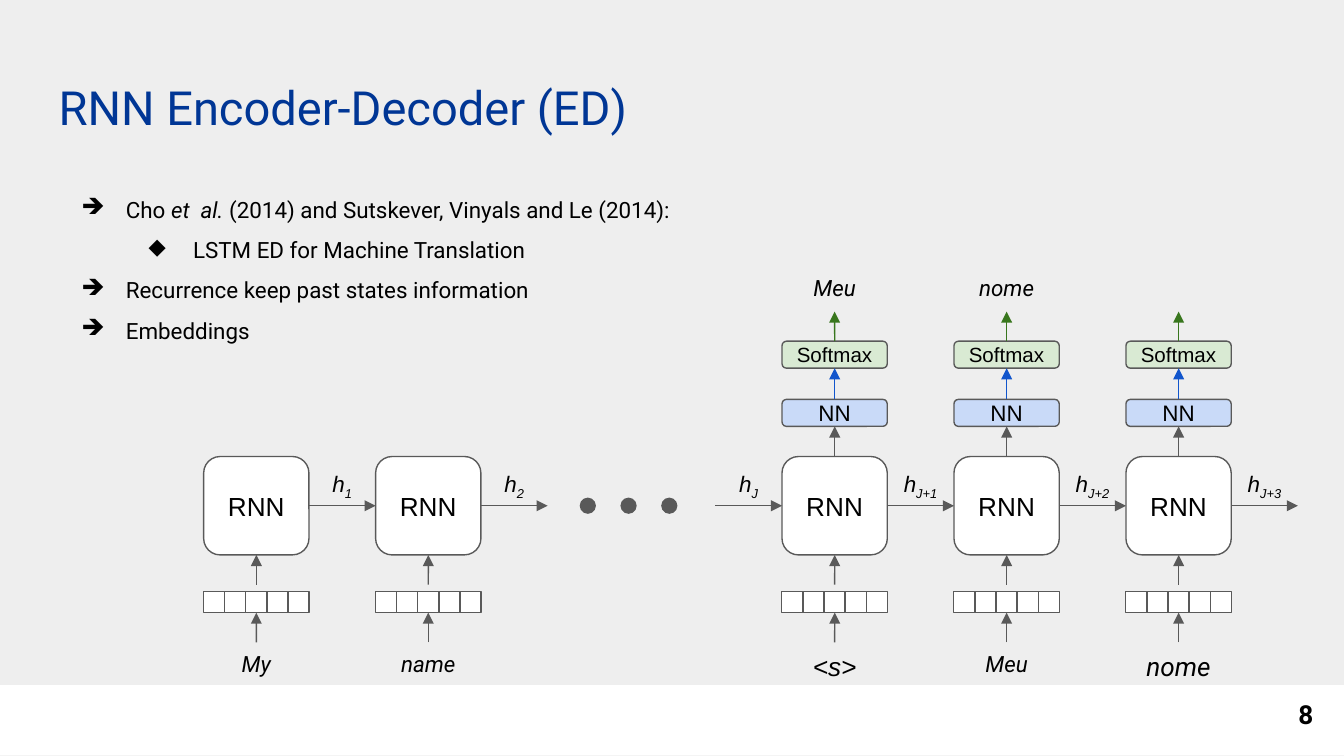
from lxml import etree
from pptx import Presentation
from pptx.dml.color import RGBColor
from pptx.enum.shapes import MSO_CONNECTOR, MSO_SHAPE
from pptx.enum.text import MSO_ANCHOR, PP_ALIGN
from pptx.oxml.ns import qn
from pptx.util import Cm, Pt

RECTANGLE, ROUNDED, OVAL = MSO_SHAPE.RECTANGLE, MSO_SHAPE.ROUNDED_RECTANGLE, MSO_SHAPE.OVAL
LEFT, CENTER, RIGHT = PP_ALIGN.LEFT, PP_ALIGN.CENTER, PP_ALIGN.RIGHT
TOP, MIDDLE = MSO_ANCHOR.TOP, MSO_ANCHOR.MIDDLE
STRAIGHT = MSO_CONNECTOR.STRAIGHT
TOP_SIDE, LEFT_SIDE, BOTTOM_SIDE, RIGHT_SIDE = range(4)

BACKGROUND, WHITE, BLACK, GRAY = "EEEEEE", "FFFFFF", "000000", "595959"
TITLE_BLUE, ARROW_BLUE, ARROW_GREEN = "003695", "1155CC", "38761D"
NN_FILL, SOFTMAX_FILL = "C9DAF8", "D9EAD3"

# Content
TITLE = "RNN Encoder-Decoder (ED)"
PAGE_NUMBER = "8"
BULLETS = [  # level, runs
    (0, [("Cho ", {}), ("et  al.", {"italic": True}),
         (" (2014) and Sutskever, Vinyals and Le (2014):", {})]),
    (1, [("LSTM ED for Machine Translation", {})]),
    (0, [("Recurrence keep past states information", {})]),
    (0, [("Embeddings", {})]),
]
BULLET_SIGNS = ["➔", "◆"]
ENCODER = [  # input word, its format, index of the outgoing state
    ("My", {}, "1"),
    ("name", {}, "2"),
]
DECODER = [  # input word, its format, index of the outgoing state, output word
    ("<s>", {"size": 14, "font": "Arial"}, "J+1", "Meu"),
    ("Meu", {}, "J+2", "nome"),
    ("nome", {"size": 14}, "J+3", None),
]
FIRST_DECODER_STATE = "J"

# Layout in centimetres
ENCODER_LEFT, DECODER_LEFT = 3.85, 14.78
STEP = 3.25
BOX_WIDTH, RNN_HEIGHT, LAYER_HEIGHT = 1.99, 1.86, 0.51
STATE_GAP = STEP - BOX_WIDTH
SOFTMAX_TOP, NN_TOP, RNN_TOP = 6.45, 7.55, 8.63
RNN_BOTTOM = RNN_TOP + RNN_HEIGHT
STATE_Y = RNN_TOP + RNN_HEIGHT / 2
CELLS, CELL, CELLS_TOP = 5, 0.4, 11.18
ARROW = 0.56
WORD_WIDTH, INPUT_TOP, OUTPUT_TOP = 2.13, 12.04, 4.93
DOTS, DOT, DOT_LEFT, DOT_STEP = 3, 0.28, 10.97, 0.77


def color(hex_string):
    return RGBColor.from_string(hex_string)


def add_runs(paragraph, runs, size=12, font="Roboto", fill=BLACK, bold=False, italic=False):
    for text, extra in runs:
        run = paragraph.add_run()
        run.text = text
        run.font.size = Pt(size)
        run.font.name = font
        run.font.bold = bold
        run.font.italic = extra.get("italic", italic)
        run.font.color.rgb = color(fill)
        if extra.get("subscript"):
            run.font._element.set("baseline", "-25000")


def write(shape, text, align=CENTER, anchor=MIDDLE, **run_format):
    """Fill a shape with one paragraph; text is a string or a list of (text, extras)."""
    frame = prepare_frame(shape, anchor)
    frame.paragraphs[0].alignment = align
    runs = [(text, {})] if isinstance(text, str) else text
    add_runs(frame.paragraphs[0], runs, **run_format)


def prepare_frame(shape, anchor):
    frame = shape.text_frame
    frame.word_wrap = True
    frame.vertical_anchor = anchor
    frame.margin_left = frame.margin_right = Cm(0.25)
    frame.margin_top = frame.margin_bottom = Cm(0.25)
    return frame


def add_box(shapes, kind, left, top, width, height, fill, line=GRAY):
    shape = shapes.add_shape(kind, Cm(left), Cm(top), Cm(width), Cm(height))
    shape.shadow.inherit = False
    shape.fill.solid()
    shape.fill.fore_color.rgb = color(fill)
    if line:
        shape.line.color.rgb = color(line)
        shape.line.width = Pt(0.75)
    else:
        shape.line.fill.background()
    return shape


def add_label(shapes, text, left, top, width, height=1.02, anchor=TOP, **text_format):
    label = shapes.add_textbox(Cm(left), Cm(top), Cm(width), Cm(height))
    write(label, text, anchor=anchor, **text_format)


def add_arrow(shapes, start, end, begin=None, finish=None, line=GRAY):
    """Draw an arrow; begin and finish are optional (shape, side) pairs to join."""
    arrow = shapes.add_connector(STRAIGHT, *(Cm(value) for value in start + end))
    if begin:
        arrow.begin_connect(*begin)
    if finish:
        arrow.end_connect(*finish)
    arrow.line.color.rgb = color(line)
    arrow.line.width = Pt(0.75)
    properties = arrow._element.spPr
    etree.SubElement(properties.find(qn("a:ln")), qn("a:tailEnd"), type="triangle")
    etree.SubElement(properties, qn("a:effectLst"))


def add_state(shapes, index, left):
    runs = [("h", {}), (index, {"subscript": True})]
    add_label(shapes, runs, left, 8.64, STATE_GAP, font="Arial", italic=True)


def add_step(shapes, left, word, word_format):
    """Add an RNN box with its embedding and input word; return the box."""
    center = left + BOX_WIDTH / 2
    rnn = add_box(shapes, ROUNDED, left, RNN_TOP, BOX_WIDTH, RNN_HEIGHT, WHITE)
    write(rnn, "RNN", size=14, font="Arial")
    embedding = shapes.add_group_shape()
    cells = [add_box(embedding.shapes, RECTANGLE, center + (i - CELLS / 2) * CELL,
                     CELLS_TOP, CELL, CELL, WHITE) for i in range(CELLS)]
    cells_bottom = CELLS_TOP + CELL
    add_arrow(shapes, (center, RNN_BOTTOM + ARROW), (center, RNN_BOTTOM),
              finish=(rnn, BOTTOM_SIDE))
    add_arrow(shapes, (center, cells_bottom + ARROW), (center, cells_bottom),
              finish=(cells[CELLS // 2], BOTTOM_SIDE))
    add_label(shapes, word, center - WORD_WIDTH / 2, INPUT_TOP, WORD_WIDTH,
              italic=True, **word_format)
    return rnn


def add_output(shapes, left, rnn, word):
    """Stack NN and Softmax above an RNN box, with the output word on top."""
    center = left + BOX_WIDTH / 2
    nn = add_box(shapes, ROUNDED, left, NN_TOP, BOX_WIDTH, LAYER_HEIGHT, NN_FILL)
    write(nn, "NN", font="Arial")
    softmax = add_box(shapes, ROUNDED, left, SOFTMAX_TOP, BOX_WIDTH, LAYER_HEIGHT, SOFTMAX_FILL)
    write(softmax, "Softmax", size=11, font="Arial")
    for lower, upper, line in [(rnn, nn, GRAY), (nn, softmax, ARROW_BLUE)]:
        add_arrow(shapes, (center, RNN_TOP), (center, NN_TOP),
                  (lower, TOP_SIDE), (upper, BOTTOM_SIDE), line)
    add_arrow(shapes, (center, SOFTMAX_TOP), (center, SOFTMAX_TOP - ARROW),
              (softmax, TOP_SIDE), line=ARROW_GREEN)
    if word:
        add_label(shapes, word, center - WORD_WIDTH / 2, OUTPUT_TOP, WORD_WIDTH, italic=True)


def add_chain(shapes, first_left, steps):
    """Add a row of steps joined by state arrows; return the RNN boxes."""
    lefts = [first_left + i * STEP for i in range(len(steps))]
    boxes = [add_step(shapes, left, *step[:2]) for left, step in zip(lefts, steps)]
    for i, (left, step) in enumerate(zip(lefts, steps)):
        right = left + BOX_WIDTH
        following = (boxes[i + 1], LEFT_SIDE) if i + 1 < len(boxes) else None
        add_arrow(shapes, (right, STATE_Y), (right + STATE_GAP, STATE_Y),
                  (boxes[i], RIGHT_SIDE), following)
        add_state(shapes, step[2], right)
    return boxes


def add_bullets(shapes):
    body = add_box(shapes, RECTANGLE, 0.86, 3.2, 12.29, 4.06, BACKGROUND, line=None)
    frame = prepare_frame(body, TOP)
    for i, (level, runs) in enumerate(BULLETS):
        paragraph = frame.add_paragraph() if i else frame.paragraphs[0]
        paragraph.alignment = LEFT
        paragraph.level = level
        paragraph.line_spacing = 1.5
        add_runs(paragraph, runs)
        properties = paragraph._element.get_or_add_pPr()
        properties.set("marL", str(Cm(1.27 * (level + 1))))
        properties.set("indent", str(Cm(-0.84)))
        bullet_color = etree.SubElement(properties, qn("a:buClr"))
        etree.SubElement(bullet_color, qn("a:srgbClr"), val=BLACK)
        etree.SubElement(properties, qn("a:buChar"), char=BULLET_SIGNS[level])


def main():
    presentation = Presentation()
    presentation.slide_width, presentation.slide_height = Cm(25.4), Cm(14.29)
    slide = presentation.slides.add_slide(presentation.slide_layouts[6])
    slide.background.fill.solid()
    slide.background.fill.fore_color.rgb = color(BACKGROUND)
    shapes = slide.shapes

    add_box(shapes, RECTANGLE, 0, 12.95, 25.4, 1.33, WHITE, line=None)
    add_label(shapes, TITLE, 0.86, 1.24, 23.67, 1.6, align=LEFT, size=25.2, fill=TITLE_BLUE)
    add_label(shapes, PAGE_NUMBER, 23.55, 12.95, 1.52, 1.09, anchor=MIDDLE,
              align=RIGHT, size=14, bold=True)
    add_bullets(shapes)

    add_chain(shapes, ENCODER_LEFT, ENCODER)
    for i in range(DOTS):
        add_box(shapes, OVAL, DOT_LEFT + i * DOT_STEP, STATE_Y - DOT / 2, DOT, DOT, GRAY)
    decoder_boxes = add_chain(shapes, DECODER_LEFT, DECODER)
    state_left = DECODER_LEFT - STATE_GAP
    add_arrow(shapes, (state_left, STATE_Y), (DECODER_LEFT, STATE_Y),
              finish=(decoder_boxes[0], LEFT_SIDE))
    add_state(shapes, FIRST_DECODER_STATE, state_left)
    for i, (rnn, step) in enumerate(zip(decoder_boxes, DECODER)):
        add_output(shapes, DECODER_LEFT + i * STEP, rnn, step[3])

    presentation.save("out.pptx")


if __name__ == "__main__":
    main()
